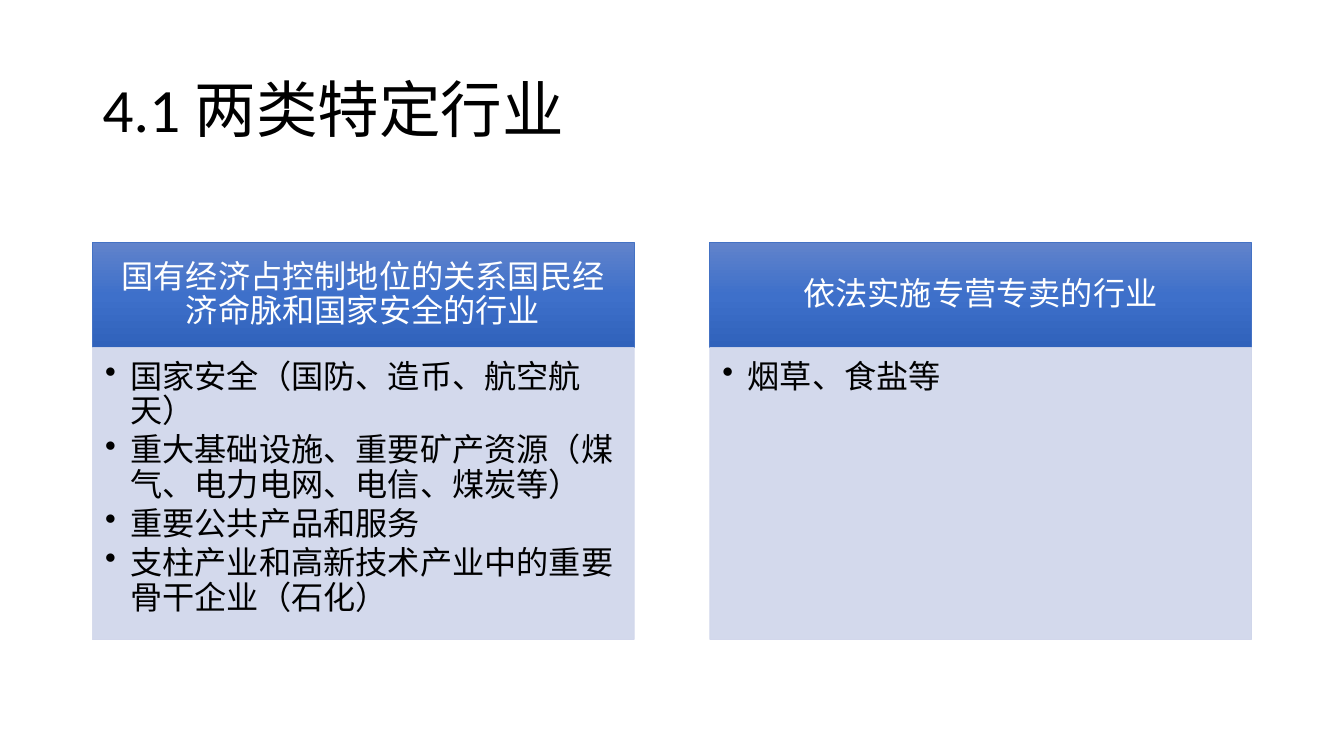
from copy import deepcopy
from dataclasses import dataclass

from pptx import Presentation
from pptx.dml.color import RGBColor
from pptx.enum.shapes import MSO_SHAPE
from pptx.enum.text import MSO_ANCHOR, MSO_AUTO_SIZE, PP_ALIGN
from pptx.oxml import parse_xml
from pptx.oxml.ns import nsdecls, qn
from pptx.util import Pt

PX = 9525  # EMU per px, 96 px to the inch


@dataclass(frozen=True)
class Theme:
    font: str = "Calibri"
    title_size: int = 44
    body_size: int = 23
    black: str = "000000"
    white: str = "FFFFFF"
    header_line: str = "4472C4"
    header_stops: tuple = ((0, "6183CB"), (0.5, "3E70CA"), (1, "3062BB"))
    panel: str = "CFD5EA"
    panel_alpha: int = 90000


theme = Theme()


def add_box(page, left, top, width, height, insets, line_color):
    box = page.shapes.add_shape(
        MSO_SHAPE.RECTANGLE, left * PX, top * PX, width * PX, height * PX)
    box.shadow.inherit = False
    box.line.color.rgb = RGBColor.from_string(line_color)
    box.line.width = Pt(0.5)
    frame = box.text_frame
    frame.word_wrap = True
    (frame.margin_left, frame.margin_top,
     frame.margin_right, frame.margin_bottom) = [inset * PX for inset in insets]
    return box


def write(para, text, size, color, align):
    para.alignment = align
    para.line_spacing = 0.9
    span = para.add_run()
    span.text = text
    span.font.name = theme.font
    span.font.size = Pt(size)
    span.font.color.rgb = RGBColor.from_string(color)


deck = Presentation()
deck.slide_width, deck.slide_height = 1280 * PX, 720 * PX
page = deck.slides.add_slide(deck.slide_layouts[5])

# Title
title = page.shapes.title
title.left, title.top, title.width, title.height = [
    length * PX for length in (88, 38, 1104, 139)]
title.text_frame.auto_size = MSO_AUTO_SIZE.NONE
title.text_frame.vertical_anchor = MSO_ANCHOR.MIDDLE
write(title.text_frame.paragraphs[0], "4.1 两类特定行业",
      theme.title_size, theme.black, PP_ALIGN.LEFT)

# Two columns, each a header over a bulleted panel
columns = [
    ("国有经济占控制地位的关系国民经济命脉和国家安全的行业", [
        "国家安全（国防、造币、航空航天）",
        "重大基础设施、重要矿产资源（煤气、电力电网、电信、煤炭等）",
        "重要公共产品和服务",
        "支柱产业和高新技术产业中的重要骨干企业（石化）",
    ]),
    ("依法实施专营专卖的行业", ["烟草、食盐等"]),
]
LEFT, TOP, WIDTH, PITCH = 88, 231, 516, 588
HEADER_HEIGHT, PANEL_HEIGHT = 100, 278
INDENT = 24 * PX

for index, (heading, items) in enumerate(columns):
    left = LEFT + index * PITCH

    # Header with a three-stop gradient running downwards
    header = add_box(page, left, TOP, WIDTH, HEADER_HEIGHT,
                     (17, 10, 17, 10), theme.header_line)
    header.fill.gradient()
    header.fill.gradient_angle = 270
    stop_list = header._element.spPr.find(qn("a:gradFill")).find(qn("a:gsLst"))
    stop_list.append(deepcopy(stop_list[0]))
    for stop, (position, color) in zip(header.fill.gradient_stops, theme.header_stops):
        stop.position = position
        stop.color.rgb = RGBColor.from_string(color)
    header.text_frame.vertical_anchor = MSO_ANCHOR.MIDDLE
    write(header.text_frame.paragraphs[0], heading,
          theme.body_size, theme.white, PP_ALIGN.CENTER)

    # Panel, slightly transparent in fill and outline
    panel = add_box(page, left, TOP + HEADER_HEIGHT, WIDTH, PANEL_HEIGHT,
                    (12, 12, 17, 19), theme.panel)
    panel.fill.solid()
    panel.fill.fore_color.rgb = RGBColor.from_string(theme.panel)
    for color in panel._element.spPr.iter(qn("a:srgbClr")):
        color.append(parse_xml(
            f'<a:alpha {nsdecls("a")} val="{theme.panel_alpha}"/>'))
    frame = panel.text_frame
    frame.vertical_anchor = MSO_ANCHOR.TOP
    for number, item in enumerate(items):
        para = frame.add_paragraph() if number else frame.paragraphs[0]
        write(para, item, theme.body_size, theme.black, PP_ALIGN.LEFT)
        para.space_after = Pt(3)
        properties = para._p.get_or_add_pPr()
        properties.set("marL", str(INDENT))
        properties.set("indent", str(-INDENT))
        properties.append(parse_xml(f'<a:buChar {nsdecls("a")} char="•"/>'))

deck.save("out.pptx")
